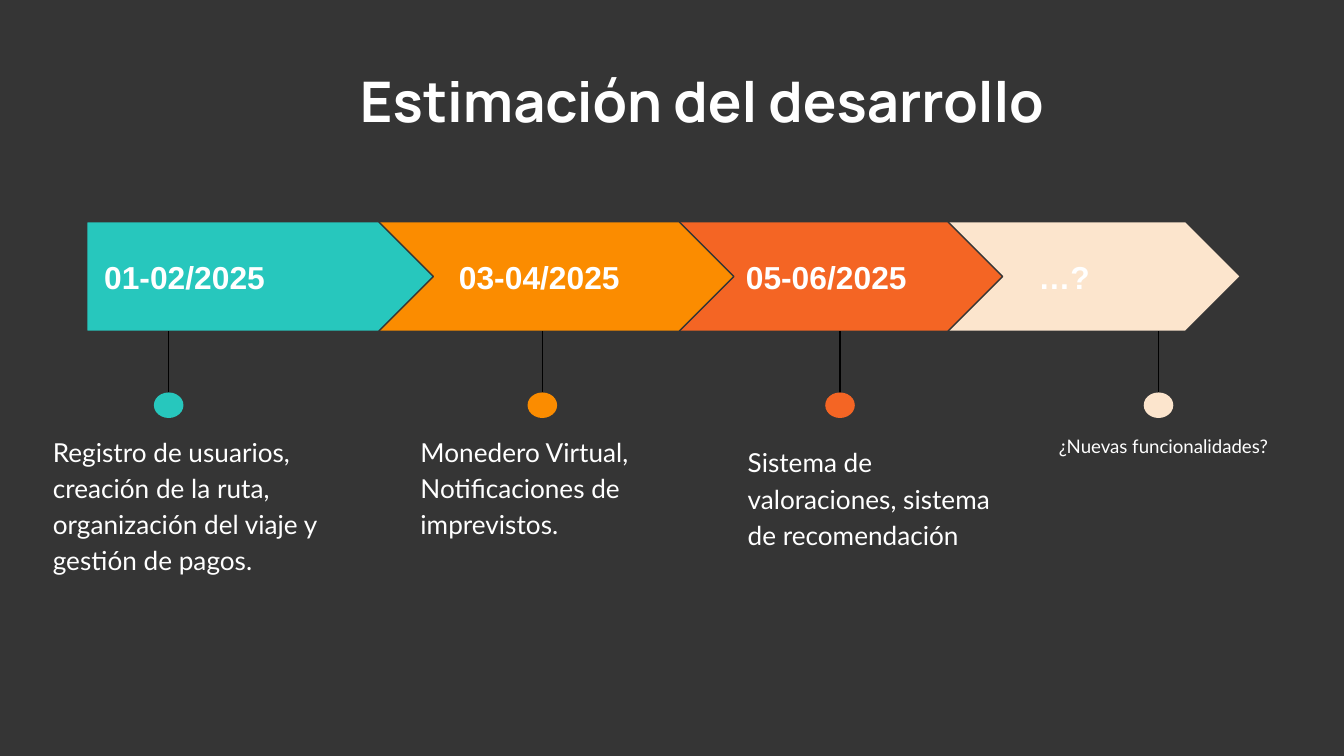
"""Build a development timeline slide with four phases."""
from lxml import etree
from pptx import Presentation
from pptx.dml.color import RGBColor
from pptx.enum.shapes import MSO_CONNECTOR, MSO_SHAPE
from pptx.enum.text import MSO_ANCHOR, PP_ALIGN
from pptx.oxml.ns import qn
from pptx.util import Pt

PENTAGON, OVAL, STRAIGHT = MSO_SHAPE.PENTAGON, MSO_SHAPE.OVAL, MSO_CONNECTOR.STRAIGHT
LEFT, CENTER = PP_ALIGN.LEFT, PP_ALIGN.CENTER
TOP, MIDDLE = MSO_ANCHOR.TOP, MSO_ANCHOR.MIDDLE
PX = 4572

THEME = {
    "background": RGBColor.from_string("353535"),
    "text": RGBColor.from_string("FFFFFF"),
    "stem": RGBColor.from_string("000000"),
    "phases": [RGBColor.from_string(c) for c in ("27C7BD", "FB8C00", "F46524", "FCE5CD")],
    "title": ("Manrope", 30, True),
    "date": ("Arial", 17, True),
    "detail": ("Lato", 14, False),
    "small": ("Lato", 10, False),
    "line": Pt(0.75),
}


def box(*lengths):
    return [length * PX for length in lengths]


def write(holder, text, style, inset, align=LEFT, anchor=TOP):
    frame = holder.text_frame
    frame.word_wrap = True
    frame.vertical_anchor = anchor
    frame.margin_left = frame.margin_right = inset * PX
    frame.margin_top = frame.margin_bottom = inset * PX
    paragraph = frame.paragraphs[0]
    paragraph.alignment = align
    run = paragraph.add_run()
    run.text = text
    name, size, bold = THEME[style]
    run.font.name, run.font.size, run.font.bold = name, Pt(size), bold
    run.font.color.rgb = THEME["text"]
    return paragraph


presentation = Presentation()
presentation.slide_width, presentation.slide_height = box(2000, 1125)
slide = presentation.slides.add_slide(presentation.slide_layouts[6])
slide.background.fill.solid()
slide.background.fill.fore_color.rgb = THEME["background"]

title = slide.shapes.add_textbox(*box(516, 79, 1382, 138))
write(title, "Estimación del desarrollo", "title", 20)

phases = [
    ("01-02/2025", LEFT, 129, 516, 251, (59, 623, 516, 372), "detail",
     "Registro de usuarios, creación de la ruta, organización del viaje y gestión de pagos."),
    ("03-04/2025", CENTER, 554, 538, 807, (606, 623, 402, 198), "detail",
     "Monedero Virtual, Notificaciones de imprevistos."),
    ("05-06/2025", CENTER, 1008, 484, 1250, (1093, 638, 448, 184), "detail",
     "Sistema de valoraciones, sistema de recomendación"),
    ("…?", CENTER, 1362, 484, 1724, (1556, 623, 360, 144), "small",
     "¿Nuevas funcionalidades?"),
]

for phase, color in reversed(list(zip(phases, THEME["phases"]))):
    date, align, left, width, stem_x, detail_box, detail_style, detail = phase

    arrow = slide.shapes.add_shape(PENTAGON, *box(left, 330, width, 163))
    arrow.shadow.inherit = False
    arrow.fill.solid()
    arrow.fill.fore_color.rgb = color
    arrow.line.color.rgb = THEME["background"]
    arrow.line.width = THEME["line"]
    write(arrow, date, "date", 26, align, MIDDLE)

    marker = slide.shapes.add_group_shape()
    stem = marker.shapes.add_connector(STRAIGHT, *box(stem_x, 493, stem_x, 600))
    stem.line.color.rgb = THEME["stem"]
    stem.line.width = THEME["line"]
    etree.SubElement(stem._element.spPr, qn("a:effectLst"))
    dot = marker.shapes.add_shape(OVAL, *box(stem_x - 22, 584, 44, 38))
    dot.shadow.inherit = False
    dot.fill.solid()
    dot.fill.fore_color.rgb = color
    dot.line.fill.background()

    description = slide.shapes.add_textbox(*box(*detail_box))
    paragraph = write(description, detail, detail_style, 20)
    paragraph.line_spacing = 1.15
    paragraph.space_after = Pt(16)

presentation.save("out.pptx")
